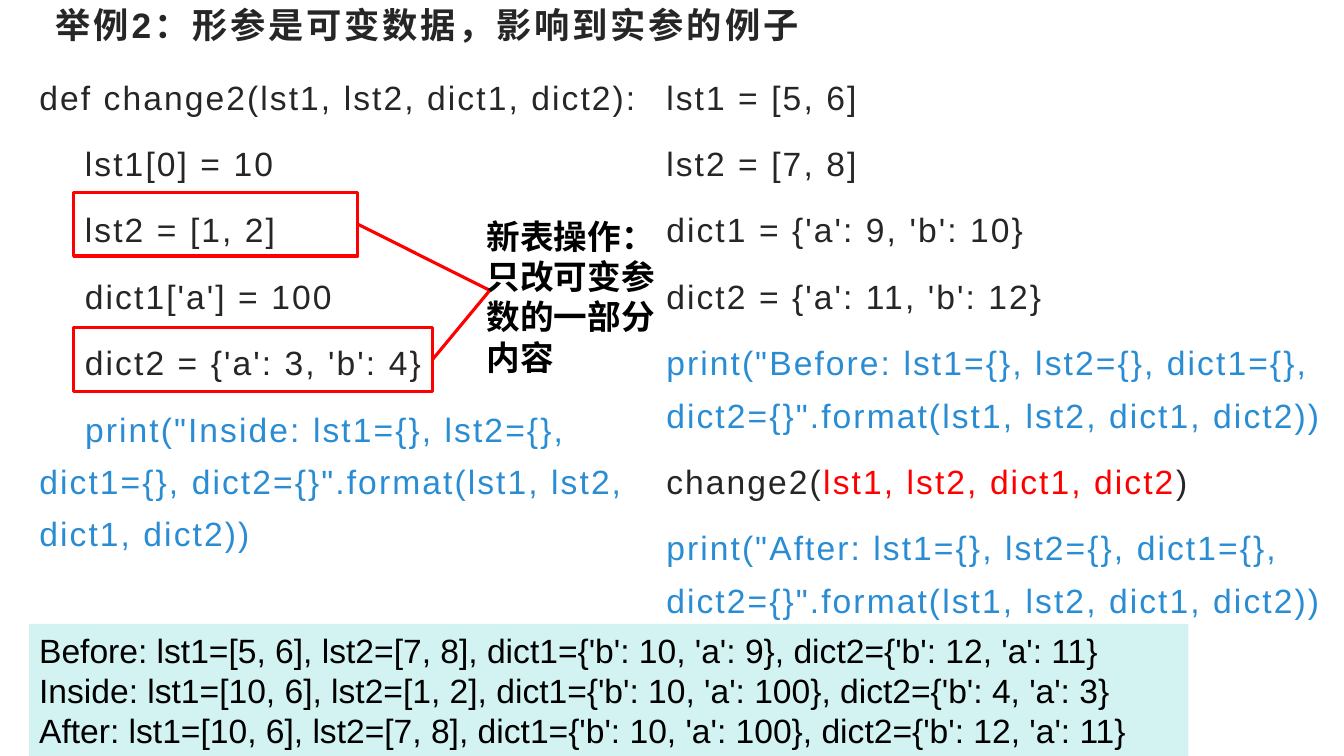
from lxml import etree
from pptx import Presentation
from pptx.dml.color import RGBColor
from pptx.enum import lang, shapes, text
from pptx.oxml import ns
from pptx.util import Pt

# Content: each paragraph is a list of (text, colour name) spans
TITLE = [[("举例2：形参是可变数据，影响到实参的例子", "ink")]]
FUNCTION = [
    [("def change2(lst1, lst2, dict1, dict2):", "ink")],
    [("    lst1[0] = 10", "ink")],
    [("    lst2 = [1, 2]", "ink")],
    [("    dict1['a'] = 100", "ink")],
    [("    dict2 = {'a': 3, 'b': 4}", "ink")],
    [("    ", "ink"),
     ('print("Inside: lst1={}, lst2={}, dict1={}, dict2={}".format(lst1, lst2, dict1, dict2))', "blue")],
]
CALLER = [
    [("lst1 = [5, 6]", "ink")],
    [("lst2 = [7, 8]", "ink")],
    [("dict1 = {'a': 9, 'b': 10}", "ink")],
    [("dict2 = {'a': 11, 'b': 12}", "ink")],
    [('print("Before: lst1={}, lst2={}, dict1={}, dict2={}".format(lst1, lst2, dict1, dict2))', "blue")],
    [("change2(", "ink"), ("lst1, lst2, dict1, dict2", "red"), (")", "ink")],
    [('print("After: lst1={}, lst2={}, dict1={}, dict2={}".format(lst1, lst2, dict1, dict2))', "blue")],
]
CALLOUT = [[("新表操作：", "black")], [("只改可变参数的一部分内容", "black")]]
OUTPUT = [
    [("Before: lst1=[5, 6], lst2=[7, 8], dict1={'b': 10, 'a': 9}, dict2={'b': 12, 'a': 11}", "black")],
    [("Inside: lst1=[10, 6], lst2=[1, 2], dict1={'b': 10, 'a': 100}, dict2={'b': 4, 'a': 3}", "black")],
    [("After: lst1=[10, 6], lst2=[7, 8], dict1={'b': 10, 'a': 100}, dict2={'b': 12, 'a': 11}", "black")],
]

THEME = {
    "font": "Arial", "title": 25.2, "body": 24, "line": 2.25,
    "ink": "262626", "blue": "2A8DD4", "red": "FF0000", "black": "000000", "panel": "D3F2F2",
}

# Layout in points: left, top, width, height
TITLE_AREA = (32.4, 0, 854.6, 34.6)
LEFT, SPLIT, CODE_TOP, CODE_HEIGHT = 20.9, 468.7, 42.5, 424.1
CODE_AREAS = [(LEFT, CODE_TOP, SPLIT - LEFT, CODE_HEIGHT), (SPLIT, CODE_TOP, 481.7, CODE_HEIGHT)]
FRAME_LEFT, FRAME_HEIGHT = 52.6, 45.4
FRAMES = [(137.5, 203), (234.2, 256.3)]  # top, width
CALLOUT_POINT = (349.9, 207.4)
CALLOUT_AREA = (340.6, 150.5, 150.5, 123.8)
OUTPUT_AREA = (LEFT, 445.7, 828, 94.3)


def colour(name):
    return RGBColor.from_string(THEME[name])


def points(values):
    return [Pt(value) for value in values]


def place(shape, area):
    shape.left, shape.top, shape.width, shape.height = points(area)


def write(shape, paragraphs, size=THEME["body"], bold=False, tracking=0, leading=1.0,
          after=0, anchor=text.MSO_ANCHOR.TOP, chinese=False):
    frame = shape.text_frame
    frame.word_wrap = True
    frame.auto_size = text.MSO_AUTO_SIZE.NONE
    frame.vertical_anchor = anchor
    for index, spans in enumerate(paragraphs):
        para = frame.add_paragraph() if index else frame.paragraphs[0]
        para.alignment = text.PP_ALIGN.LEFT
        para.line_spacing = leading
        para.space_before, para.space_after = Pt(0), Pt(after)
        properties = para._p.get_or_add_pPr()
        properties.set("marL", "0")
        properties.set("indent", "0")
        etree.SubElement(properties, ns.qn("a:buNone"))
        for words, ink in spans:
            span = para.add_run()
            span.text = words
            font = span.font
            font.name, font.size, font.bold = THEME["font"], Pt(size), bold
            font.color.rgb = colour(ink)
            if chinese:
                font.language_id = lang.MSO_LANGUAGE_ID.SIMPLIFIED_CHINESE
            if tracking:
                span._r.get_or_add_rPr().set("spc", str(round(tracking * 100)))


def add_rectangle(page, area):
    box = page.shapes.add_shape(shapes.MSO_SHAPE.RECTANGLE, *points(area))
    box.shadow.inherit = False
    return box


def outline(shape):
    shape.line.color.rgb = colour("red")
    shape.line.width = Pt(THEME["line"])


def main():
    deck = Presentation()
    deck.slide_width, deck.slide_height = Pt(960), Pt(540)
    page = deck.slides.add_slide(deck.slide_layouts[3])
    title, *columns = page.placeholders

    # Title and the two code columns
    place(title, TITLE_AREA)
    write(title, TITLE, size=THEME["title"], bold=True, tracking=2,
          anchor=text.MSO_ANCHOR.MIDDLE, chinese=True)
    for column, area, code in zip(columns, CODE_AREAS, (FUNCTION, CALLER)):
        place(column, area)
        write(column, code, tracking=1.5, leading=1.3, after=10)

    # Frames around reassignments, each joined to the callout
    for top, width in FRAMES:
        box = add_rectangle(page, (FRAME_LEFT, top, width, FRAME_HEIGHT))
        box.fill.background()
        outline(box)
    for top, width in FRAMES:
        start = (FRAME_LEFT + width, top + FRAME_HEIGHT / 2)
        link = page.shapes.add_connector(shapes.MSO_CONNECTOR.STRAIGHT, *points(start + CALLOUT_POINT))
        outline(link)
        etree.SubElement(link._element.spPr, ns.qn("a:effectLst"))

    # Callout
    callout = page.shapes.add_textbox(*points(CALLOUT_AREA))
    write(callout, CALLOUT, bold=True, chinese=True)

    # Program output
    panel = add_rectangle(page, OUTPUT_AREA)
    panel.fill.solid()
    panel.fill.fore_color.rgb = colour("panel")
    panel.line.fill.background()
    write(panel, OUTPUT, anchor=text.MSO_ANCHOR.MIDDLE)

    deck.save("out.pptx")


if __name__ == "__main__":
    main()
